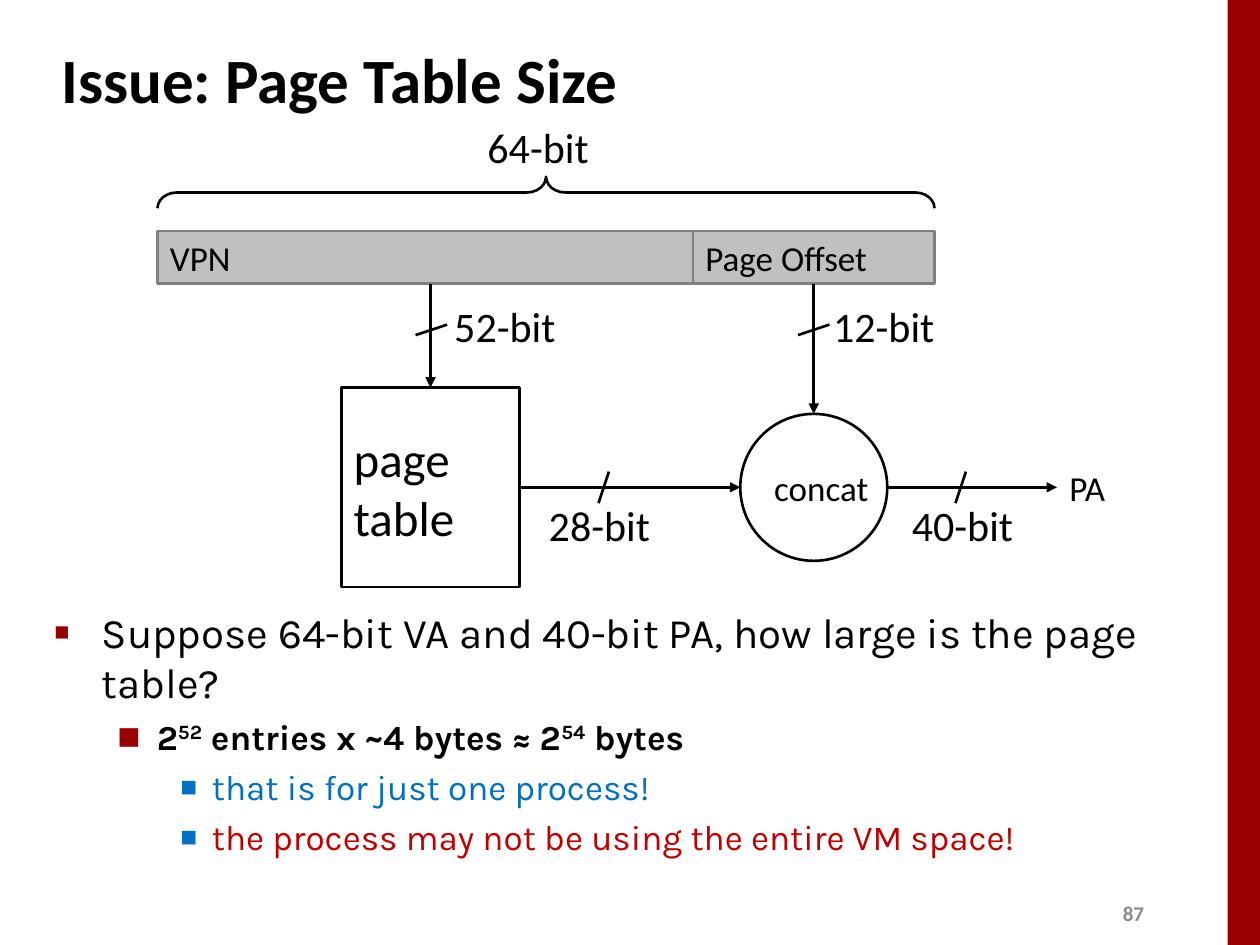
from lxml import etree
from pptx import Presentation, util as u
from pptx.dml.color import RGBColor
from pptx.enum import shapes, text
from pptx.oxml.ns import qn

Pt = u.Pt
BLACK, WHITE = RGBColor(0, 0, 0), RGBColor(255, 255, 255)
CRIMSON, RED = RGBColor(0x99, 0, 0), RGBColor(0xC0, 0, 0)
BLUE = RGBColor(0, 0x70, 0xC0)
SILVER, GREY = RGBColor(0xC0, 0xC0, 0xC0), RGBColor(0x80, 0x80, 0x80)
PALE = RGBColor(0x8C, 0x8C, 0x8C)
RECT, OVAL = shapes.MSO_SHAPE.RECTANGLE, shapes.MSO_SHAPE.OVAL
MIDDLE = text.MSO_ANCHOR.MIDDLE
TOP, LEFT, BOTTOM, RIGHT = range(4)

# Content: left, top, width, height in points
TITLE = ("Issue: Page Table Size", (28, 15, 598, 60), dict(size=Pt(36), bold=True))
PAGE = ("87", (634.5, 511, 29, 22), dict(size=Pt(12), bold=True), PALE)
BLOCKS = {
    "VPN": (RECT, (90, 132, 312, 30), SILVER, GREY, 20),
    "Page Offset": (RECT, (396, 132, 138, 30), SILVER, GREY, 20),
    "page\ntable": (RECT, (195, 221.5, 102, 114), WHITE, BLACK, 28),
    "concat": (OVAL, (423, 236.5, 84, 84), WHITE, BLACK, 20),
}
LABELS = [  # text, left, top, size
    ("64-bit", 271.5, 66, 24), ("12-bit", 469, 168, 24), ("52-bit", 252.5, 168, 24),
    ("28-bit", 306.5, 282, 24), ("40-bit", 514, 282, 24), ("PA", 604, 263, 20),
]
MID_Y, VPN_X, OFFSET_X, PA_X = 278.5, 246, 465, 604
ARROWS = [  # start, end, block joined at start, block joined at end
    ((VPN_X, 162), (VPN_X, 221.5), ("VPN", BOTTOM), ("page\ntable", TOP)),
    ((OFFSET_X, 162), (OFFSET_X, 236.5), ("Page Offset", BOTTOM), ("concat", TOP)),
    ((297, MID_Y), (423, MID_Y), ("page\ntable", RIGHT), None),
    ((507, MID_Y), (PA_X, MID_Y), None, None),
]
SLASHES = [  # centre, half width, half height
    ((VPN_X + 0.5, 188.5), 9, 3), ((OFFSET_X, 188.5), 9, 3),
    ((345, MID_Y), 3, 9), ((549, MID_Y), 3, 9),
]
LEVELS = [  # left margin, hanging indent, bullet colour, bullet size %, text size
    (27, 27, CRIMSON, 60, 24), (58.5, 22.5, CRIMSON, 110, 20), (90, 18, BLUE, 80, 20),
]
BULLETS = [  # level, colour, bold, runs (every second run is superscript)
    (0, BLACK, False, ["Suppose 64-bit VA and 40-bit PA, how large is the page table?"]),
    (1, BLACK, True, ["2", "52", " entries x ~4 bytes ≈ 2", "54", " bytes"]),
    (2, BLUE, False, ["that is for just one process!"]),
    (2, RED, False, ["the process may not be using the entire VM space!"]),
]

prs = Presentation()
prs.slide_width, prs.slide_height = Pt(720), Pt(540)
slide = prs.slides.add_slide(prs.slide_layouts[6])


def style(font, color, **values):
    for key, value in values.items():
        setattr(font, key, value)
    font.color.rgb = color


def write(shape, words, color=BLACK, wrap=False, anchor=MIDDLE, **values):
    frame = shape.text_frame
    frame.word_wrap, frame.vertical_anchor = wrap, anchor
    frame.text = words
    for paragraph in frame.paragraphs:
        paragraph.alignment = text.PP_ALIGN.LEFT
        style(paragraph.font, color, name="Calibri", **values)


def add_block(kind, box, fill=None, line=None):
    shape = slide.shapes.add_shape(kind, *map(Pt, box))
    shape.shadow.inherit = False
    if fill is None:
        shape.fill.background()
    else:
        shape.fill.solid()
        shape.fill.fore_color.rgb = fill
    if line is None:
        shape.line.fill.background()
    else:
        shape.line.color.rgb, shape.line.width = line, Pt(1.5)
    return shape


def add_line(start, end, arrow=False):
    line = slide.shapes.add_connector(
        shapes.MSO_CONNECTOR.STRAIGHT, *map(Pt, (*start, *end)))
    line.line.color.rgb, line.line.width = BLACK, Pt(1.5)
    if arrow:
        etree.SubElement(line.line._get_or_add_ln(), qn("a:tailEnd"), type="triangle")
    etree.SubElement(line._element.spPr, qn("a:effectLst"))
    return line


def add_bullet(paragraph, level):
    margin, hang, color, percent, _ = LEVELS[level]
    props = paragraph._p.get_or_add_pPr()
    props.set("marL", str(Pt(margin)))
    props.set("indent", str(-Pt(hang)))
    tint = etree.SubElement(props, qn("a:buClr"))
    etree.SubElement(tint, qn("a:srgbClr"), val=str(color))
    etree.SubElement(props, qn("a:buSzPct"), val=str(percent * 1000))
    etree.SubElement(props, qn("a:buFont"), typeface="Arial")
    etree.SubElement(props, qn("a:buChar"), char="■")


# Side bar, title and page number
add_block(RECT, (701.5, 0, 18.5, 540), CRIMSON)
for words, box, values, *color in (TITLE, PAGE):
    write(slide.shapes.add_textbox(*map(Pt, box)), words, *color, wrap=True, **values)

# Address fields, page table and concatenation
blocks = {}
for words, (kind, box, fill, line, size) in BLOCKS.items():
    blocks[words] = add_block(kind, box, fill, line)
    write(blocks[words], words, size=Pt(size))

# Brace over the whole address
brace = add_block(shapes.MSO_SHAPE.LEFT_BRACE, (303, -112, 18, 444), line=BLACK)
brace.rotation = 90
brace.adjustments[0] = 0.61

# Data paths with their bus-width slashes
for start, end, source, target in ARROWS:
    arrow = add_line(start, end, arrow=True)
    if source:
        arrow.begin_connect(blocks[source[0]], source[1])
    if target:
        arrow.end_connect(blocks[target[0]], target[1])
for (x, y), dx, dy in SLASHES:
    add_line((x - dx, y + dy), (x + dx, y - dy))

# Labels
for words, left, top, size in LABELS:
    label = slide.shapes.add_textbox(Pt(left), Pt(top), Pt(3 * size), Pt(1.5 * size))
    write(label, words, anchor=text.MSO_ANCHOR.TOP, size=Pt(size))

# Bulleted discussion
body = slide.shapes.add_textbox(Pt(24), Pt(343), Pt(664), Pt(167)).text_frame
body.word_wrap = True
for index, (level, color, bold, runs) in enumerate(BULLETS):
    paragraph = body.add_paragraph() if index else body.paragraphs[0]
    paragraph.level = level
    if index:
        paragraph.space_before = Pt(4.7)
    add_bullet(paragraph, level)
    for position, words in enumerate(runs):
        run = paragraph.add_run()
        run.text = words
        style(run.font, color, name="Karla", size=Pt(LEVELS[level][-1]), bold=bold)
        if position % 2:
            run._r.get_or_add_rPr().set("baseline", "30000")

prs.save("out.pptx")
